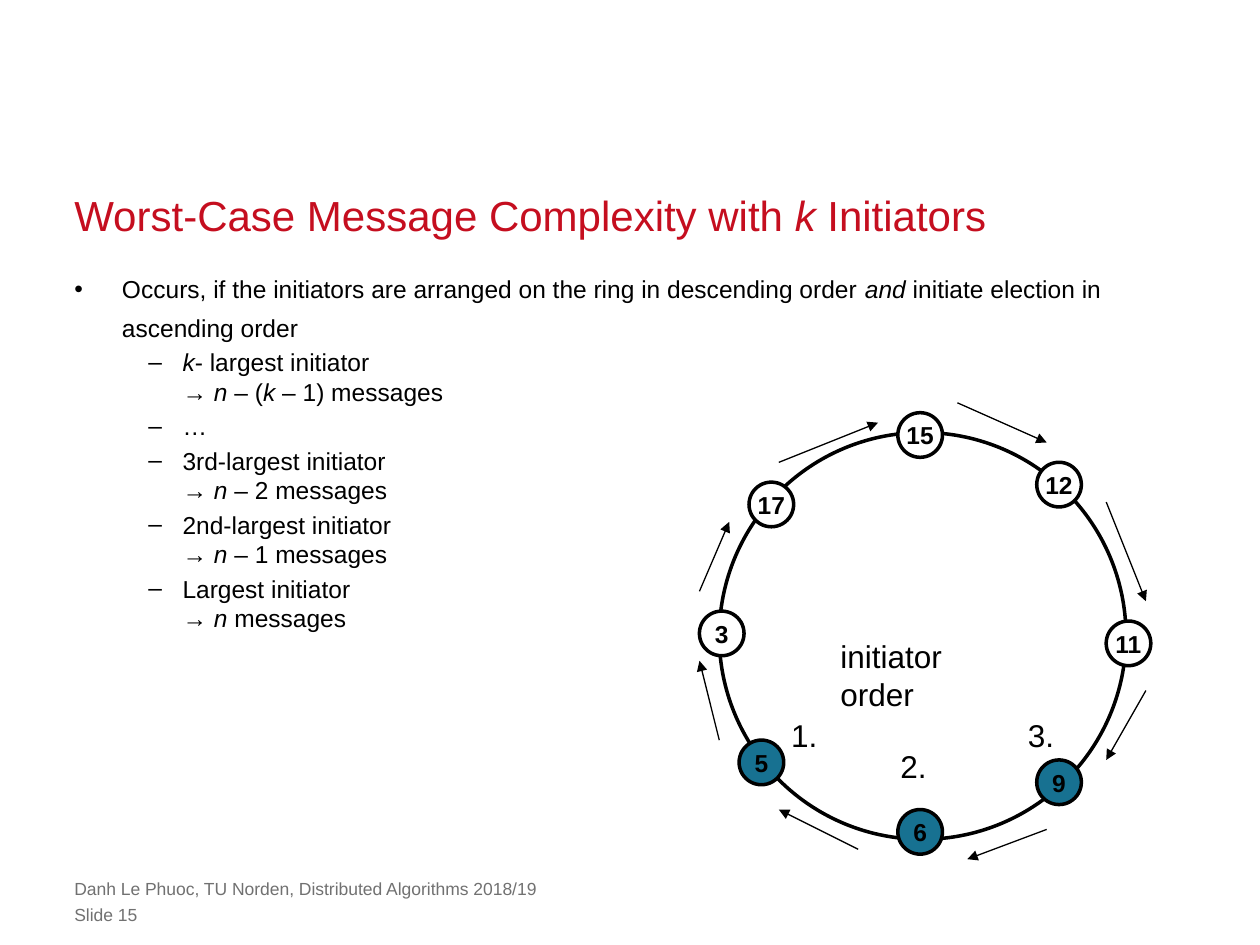
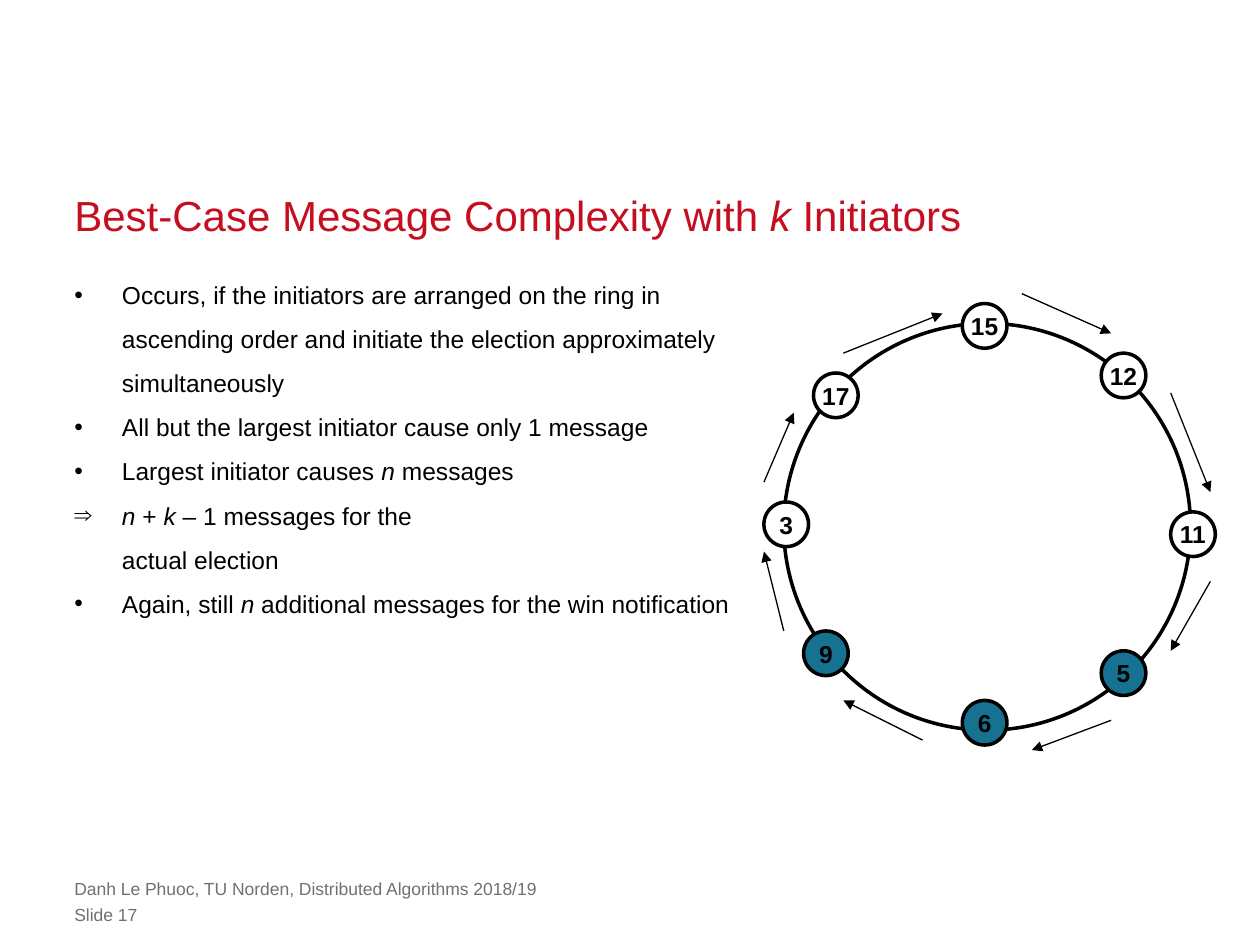
from dataclasses import dataclass

from lxml.etree import SubElement
from pptx import Presentation
from pptx.dml.color import RGBColor
from pptx.enum.shapes import MSO_CONNECTOR as Connector, MSO_SHAPE as Shape
from pptx.enum.text import MSO_ANCHOR as Anchor, PP_ALIGN as Align
from pptx.oxml.ns import qn
from pptx.util import Cm, Length, Pt

# Shared colours and text formats
RED = RGBColor(0xC5, 0x0E, 0x1F)
GREY = RGBColor(0x71, 0x71, 0x71)
BLACK = RGBColor(0x00, 0x00, 0x00)
WHITE = RGBColor(0xFF, 0xFF, 0xFF)
TEAL = RGBColor(0x17, 0x71, 0x91)

TITLE = {"size": Pt(24), "color": RED}
BODY = {"size": Pt(14), "color": BLACK}
NODE = {"size": Pt(14), "color": BLACK, "bold": True}
LABEL = {"size": Pt(18), "color": BLACK}
FOOTER = {"size": Pt(10), "color": GREY}

MARGIN = 1.5
CREDIT = "Danh Le Phuoc, TU Norden, Distributed Algorithms 2018/19"

# Ring geometry in cm, measured from the corner of the ring's bounding square
RING_SIZE = 8.2
NODE_SIZE = 0.9
NODE_OFFSETS = [(3.6, -0.4), (6.4, 0.6), (7.8, 3.8), (6.4, 6.6),
                (3.6, 7.6), (0.4, 6.2), (-0.4, 3.6), (0.6, 1.0)]
ARROW_OFFSETS = [
    ((4.8, -0.6), (6.6, 0.2)), ((7.8, 1.4), (8.6, 3.4)),
    ((8.6, 5.2), (7.8, 6.6)), ((6.6, 8.0), (5.0, 8.6)),
    ((2.8, 8.4), (1.2, 7.6)), ((0.0, 6.2), (-0.4, 4.6)),
    ((-0.4, 3.2), (0.2, 1.8)), ((1.2, 0.6), (3.2, -0.2)),
]


@dataclass
class Bullet:
    text: str  # *italic* parts, \n for a line break
    spacing: float | Length = 1.5
    mark: str = "•"
    left: float = 0.96
    hanging: float = 0.96
    before: float = 0


@dataclass
class SubBullet(Bullet):
    spacing: float | Length = 1.0
    mark: str = "–"
    left: float = 2.18
    hanging: float = 0.69
    before: float = 2.9


@dataclass
class Ring:
    left: float
    top: float
    numbers: list[int]  # clockwise from the top
    initiators: set[int]


@dataclass
class Label:
    text: str
    left: float
    top: float
    width: float = 1.04
    height: float = 1.02


@dataclass
class Page:
    number: int
    title: str
    bullets: list[Bullet]
    body_width: float
    ring: Ring
    labels: list[Label]


def set_font(font, style: dict) -> None:
    values = {"name": "Arial"} | style
    font.color.rgb = values.pop("color")
    for name, value in values.items():
        setattr(font, name, value)


def write(para, text: str, style: dict) -> None:
    """Fill a paragraph; asterisks enclose italics."""
    for index, part in enumerate(text.split("*")):
        for row, words in enumerate(part.split("\n")):
            if row:
                para.add_line_break()
            if words:
                span = para.add_run()
                span.text = words
                set_font(span.font, style | {"italic": index % 2 == 1})
    set_font(para.font, style)


def add_box(slide, left: float, top: float, width: float, height: float):
    """Add a wrapping text box without insets."""
    box = slide.shapes.add_textbox(Cm(left), Cm(top), Cm(width), Cm(height))
    frame = box.text_frame
    frame.word_wrap = True
    for side in ("left", "top", "right", "bottom"):
        setattr(frame, f"margin_{side}", 0)
    return frame


def add_bullets(slide, bullets: list[Bullet], width: float) -> None:
    frame = add_box(slide, MARGIN, 5.35, width, 11.3)
    for index, bullet in enumerate(bullets):
        para = frame.add_paragraph() if index else frame.paragraphs[0]
        para.line_spacing = bullet.spacing
        para.space_before = Pt(bullet.before)
        props = para._p.get_or_add_pPr()
        props.set("marL", str(Cm(bullet.left)))
        props.set("indent", str(-Cm(bullet.hanging)))
        SubElement(props, qn("a:buFont")).set("typeface", "Arial")
        SubElement(props, qn("a:buChar")).set("char", bullet.mark)
        write(para, bullet.text, BODY)


def add_circle(slide, left: float, top: float, size: float):
    circle = slide.shapes.add_shape(
        Shape.OVAL, Cm(left), Cm(top), Cm(size), Cm(size))
    circle.shadow.inherit = False
    circle.fill.background()
    circle.line.color.rgb = BLACK
    circle.line.width = Pt(2)
    return circle


def add_arrow(slide, *ends: float) -> None:
    arrow = slide.shapes.add_connector(Connector.STRAIGHT, *map(Cm, ends))
    arrow.line.color.rgb = BLACK
    arrow.line.width = Pt(0.75)
    SubElement(arrow.line._get_or_add_ln(), qn("a:tailEnd")).set("type", "triangle")
    SubElement(arrow._element.spPr, qn("a:effectLst"))


def add_ring(slide, ring: Ring) -> None:
    add_circle(slide, ring.left, ring.top, RING_SIZE)
    # Numbered processes
    for number, (x, y) in zip(ring.numbers, NODE_OFFSETS):
        node = add_circle(slide, ring.left + x, ring.top + y, NODE_SIZE)
        node.fill.solid()
        node.fill.fore_color.rgb = TEAL if number in ring.initiators else WHITE
        frame = node.text_frame
        frame.word_wrap = False
        frame.vertical_anchor = Anchor.MIDDLE
        frame.paragraphs[0].alignment = Align.CENTER
        write(frame.paragraphs[0], str(number), NODE)
    # Message direction
    for (x1, y1), (x2, y2) in ARROW_OFFSETS:
        add_arrow(slide, ring.left + x1, ring.top + y1,
                  ring.left + x2, ring.top + y2)


def add_label(slide, label: Label) -> None:
    box = slide.shapes.add_textbox(
        Cm(label.left), Cm(label.top), Cm(label.width), Cm(label.height))
    box.text_frame.word_wrap = False
    write(box.text_frame.paragraphs[0], label.text, LABEL)


def add_page(deck, page: Page) -> None:
    slide = deck.slides.add_slide(deck.slide_layouts[6])
    # Title
    frame = add_box(slide, MARGIN, 3.78, 22.4, 1.06)
    frame.vertical_anchor = Anchor.BOTTOM
    frame.paragraphs[0].line_spacing = Pt(30)
    write(frame.paragraphs[0], page.title, TITLE)
    # Content
    add_bullets(slide, page.bullets, page.body_width)
    add_ring(slide, page.ring)
    for label in page.labels:
        add_label(slide, label)
    # Footer
    for top, text in ((17.7, CREDIT), (18.22, f"Slide {page.number}")):
        frame = add_box(slide, MARGIN, top, 18.4, 0.43)
        write(frame.paragraphs[0], text, FOOTER)


PAGES = [
    Page(
        15,
        "Worst-Case Message Complexity with *k* Initiators",
        [
            Bullet("Occurs, if the initiators are arranged on the ring in descending "
                   "order *and* initiate election in ascending order", Pt(22)),
            SubBullet("*k*- largest initiator\n→ *n* – (*k* – 1) messages"),
            SubBullet("…"),
            SubBullet("3rd-largest initiator\n→ *n* – 2 messages"),
            SubBullet("2nd-largest initiator\n→ *n* – 1 messages"),
            SubBullet("Largest initiator\n→ *n* messages"),
        ],
        22.4,
        Ring(14.5, 8.72, [15, 12, 11, 9, 6, 5, 3, 17], {5, 6, 9}),
        [
            Label("1.", 15.7, 14.3),
            Label("2.", 17.9, 14.93),
            Label("3.", 20.47, 14.3),
            Label("initiator\norder", 16.69, 12.72, 2.59, 1.8),
        ],
    ),
    Page(
        17,
        "Best-Case Message Complexity with *k* Initiators",
        [
            Bullet("Occurs, if the initiators are arranged on the ring in ascending "
                   "order and initiate the election approximately simultaneously"),
            Bullet("All but the largest initiator cause only 1 message"),
            Bullet("Largest initiator causes *n* messages"),
            Bullet("*n* + *k* – 1 messages for the\nactual election", mark="⇒"),
            Bullet("Again, still *n* additional messages for the win notification"),
        ],
        13.39,
        Ring(15.8, 6.52, [15, 12, 11, 5, 6, 9, 3, 17], {5, 6, 9}),
        [],
    ),
]


def main() -> None:
    deck = Presentation()
    deck.slide_width, deck.slide_height = Cm(25.4), Cm(19.05)
    for page in PAGES:
        add_page(deck, page)
    deck.save("out.pptx")


if __name__ == "__main__":
    main()
